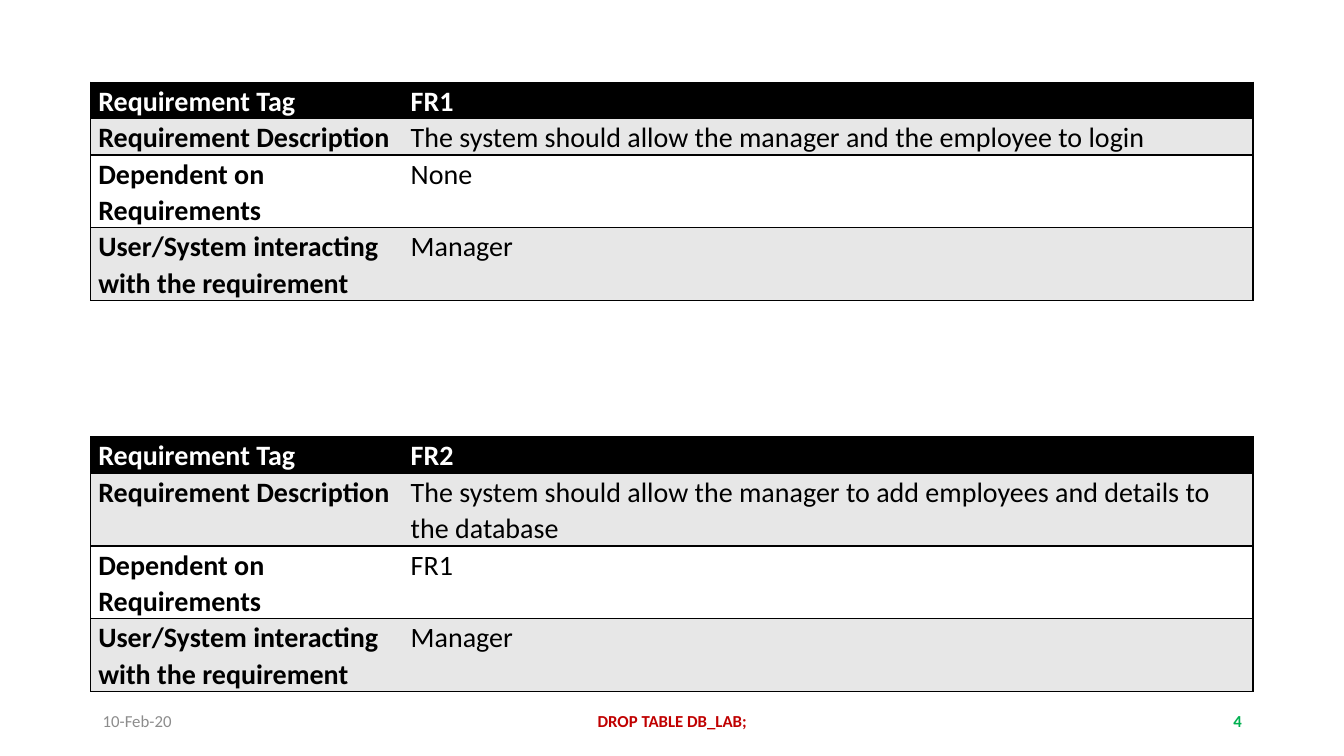
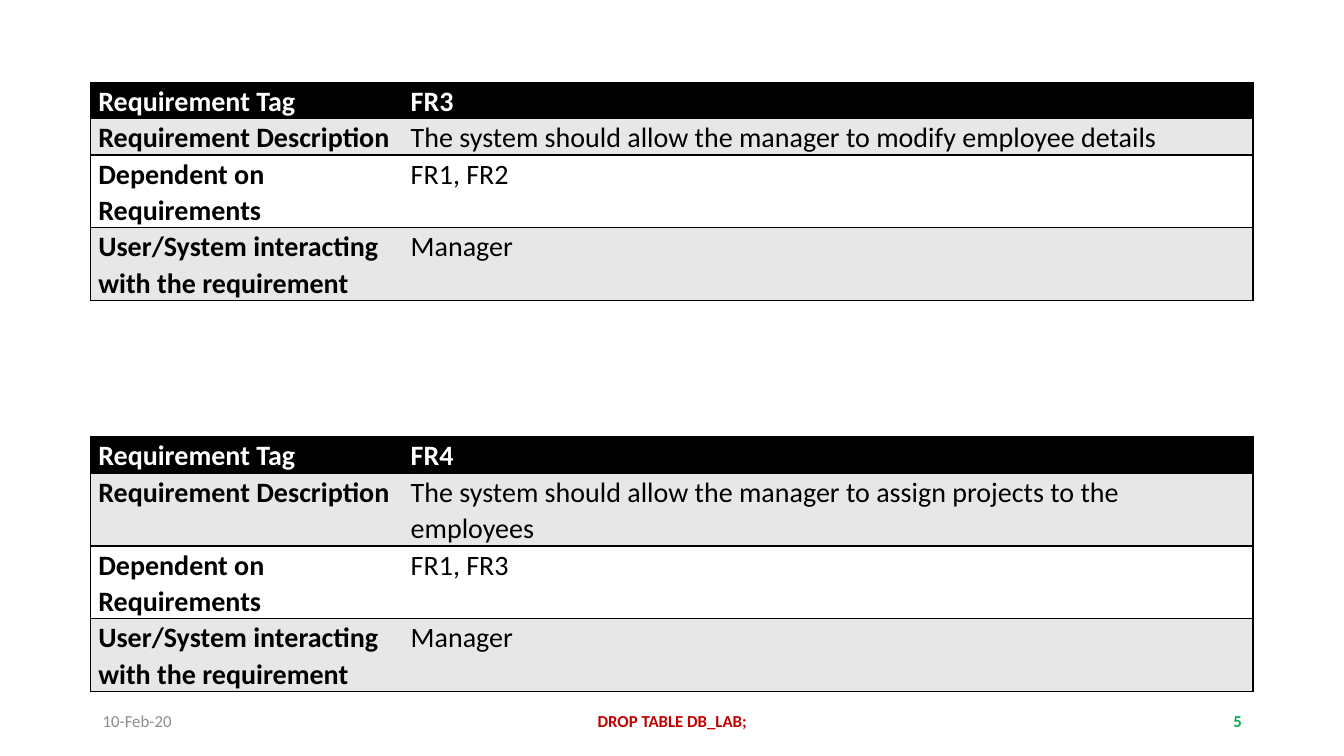
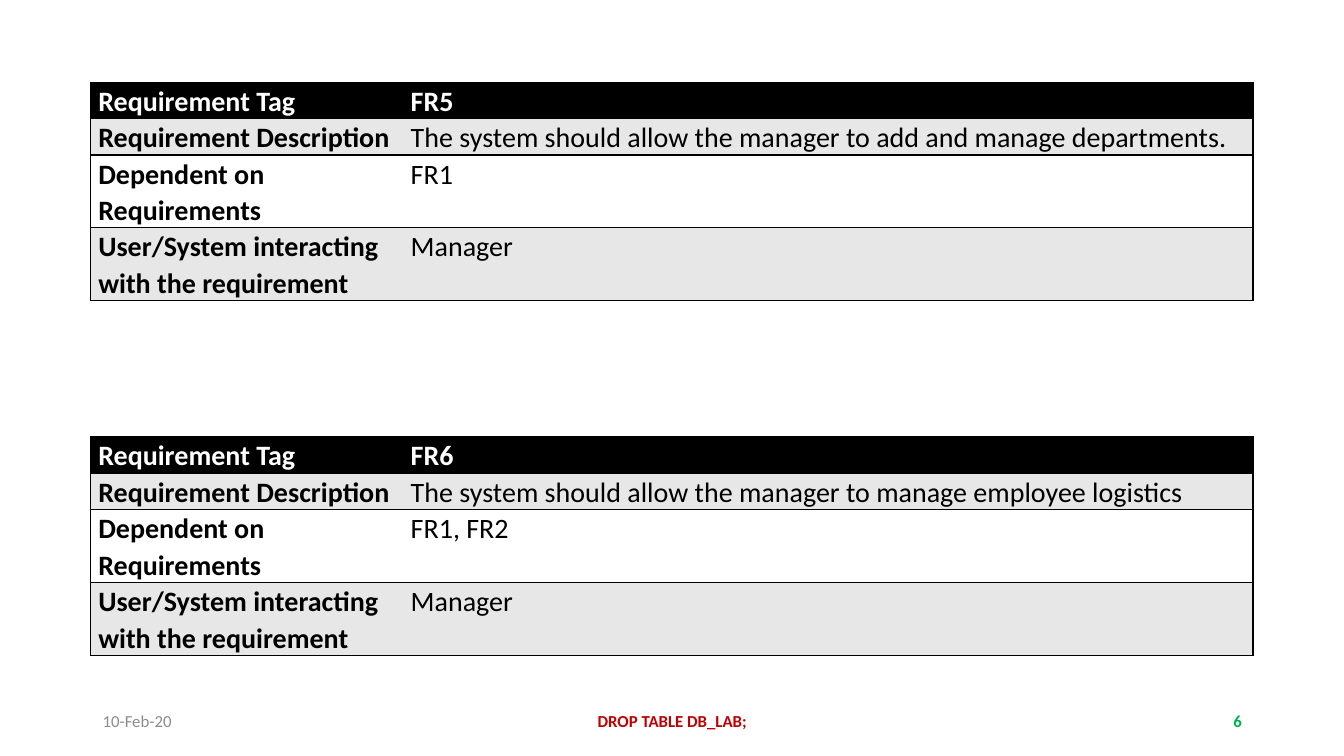
from math import ceil

from lxml.etree import SubElement
from pptx import Presentation
from pptx.dml.color import RGBColor
from pptx.enum.text import MSO_ANCHOR, PP_ALIGN
from pptx.oxml.ns import qn
from pptx.util import Pt

LABELS = (
    "Requirement Tag",
    "Requirement Description",
    "Dependent on Requirements",
    "User/System interacting with the requirement ",
)
REQUIREMENTS = (
    (("FR1", "The system should allow the manager and the employee to login", "None"),
     ("FR2", "The system should allow the manager to add employees and details to the database", "FR1")),
    (("FR3", "The system should allow the manager to modify employee details", "FR1, FR2"),
     ("FR4", "The system should allow the manager to assign projects to the employees", "FR1, FR3")),
    (("FR5", "The system should allow the manager to add and manage departments.", "FR1"),
     ("FR6", "The system should allow the manager to manage employee logistics", "FR1, FR2")),
)
USER = "Manager"
FIRST_PAGE_NUMBER = 4


def color(value):
    return RGBColor.from_string(value)


def write(frame, text, size=12, ink="000000", bold=False, align=PP_ALIGN.LEFT, spacing=None):
    para = frame.paragraphs[0]
    para.alignment = align
    para.line_spacing = spacing
    span = para.add_run()
    span.text = text
    span.font.name = RequirementDeck.font
    span.font.size = Pt(size)
    span.font.bold = bold
    span.font.color.rgb = color(ink)


class RequirementDeck:
    font = "Calibri"
    black = "000000"
    white = "FFFFFF"
    band = "E7E7E7"
    gray = "8C8C8C"
    red = "C00000"
    green = "00B050"
    table_left = 64.8
    column_widths = (223.2, 607)
    column_characters = (24, 68)
    line_height = 26
    footer_top = 500.4
    footer_height = 28.8

    def __init__(self):
        self.deck = Presentation()
        self.deck.slide_width = Pt(960)
        self.deck.slide_height = Pt(540)
        self.page = None

    def add_page(self, number):
        self.page = self.deck.slides.add_slide(self.deck.slide_layouts[6])
        self.footer(66.24, 216, "10-Feb-20", ink=self.gray)
        self.footer(318.24, 324, "DROP TABLE DB_LAB;", ink=self.red, bold=True, align=PP_ALIGN.CENTER)
        self.footer(678.24, 216, str(number), ink=self.green, bold=True, align=PP_ALIGN.RIGHT)

    def footer(self, left, width, text, **style):
        box = self.page.shapes.add_textbox(Pt(left), Pt(self.footer_top), Pt(width), Pt(self.footer_height))
        box.text_frame.word_wrap = True
        box.text_frame.vertical_anchor = MSO_ANCHOR.MIDDLE
        write(box.text_frame, text, **style)

    def border(self, cell, visible_edges):
        properties = cell._tc.get_or_add_tcPr()
        for edge in "LRTB":
            line = SubElement(properties, qn(f"a:ln{edge}"), w=str(Pt(1)))
            if edge in visible_edges:
                fill = SubElement(line, qn("a:solidFill"))
                SubElement(fill, qn("a:srgbClr"), val=self.black)
            else:
                SubElement(line, qn("a:noFill"))

    def cell(self, cell, text, fill, visible_edges, **style):
        cell.margin_left = cell.margin_right = Pt(5.4)
        cell.margin_top = cell.margin_bottom = 0
        self.border(cell, visible_edges)
        cell.fill.solid()
        cell.fill.fore_color.rgb = color(fill)
        write(cell.text_frame, text, size=20, spacing=1.07, **style)

    def requirement_table(self, top, values):
        rows = list(zip(LABELS, values))
        heights = [
            self.line_height * max(ceil(len(text) / limit) for text, limit in zip(row, self.column_characters))
            for row in rows
        ]
        frame = self.page.shapes.add_table(
            len(rows), len(self.column_widths), Pt(self.table_left), Pt(top),
            Pt(sum(self.column_widths)), Pt(sum(heights)))
        table = frame.table
        table.first_row = table.horz_banding = False
        for column, width in zip(table.columns, self.column_widths):
            column.width = Pt(width)
        for index, (row, height) in enumerate(zip(rows, heights)):
            table.rows[index].height = Pt(height)
            header = index == 0
            fill = self.black if header else self.band if index % 2 else self.white
            ink = self.white if header else self.black
            for column, (text, edges) in enumerate(zip(row, ("LTB", "RTB"))):
                self.cell(table.cell(index, column), text, fill, edges, ink=ink, bold=header or column == 0)

    def save(self):
        self.deck.save("out.pptx")


requirement_deck = RequirementDeck()
for page_number, pair in enumerate(REQUIREMENTS, FIRST_PAGE_NUMBER):
    requirement_deck.add_page(page_number)
    for table_top, requirement in zip((58.8, 312), pair):
        requirement_deck.requirement_table(table_top, (*requirement, USER))
requirement_deck.save()
